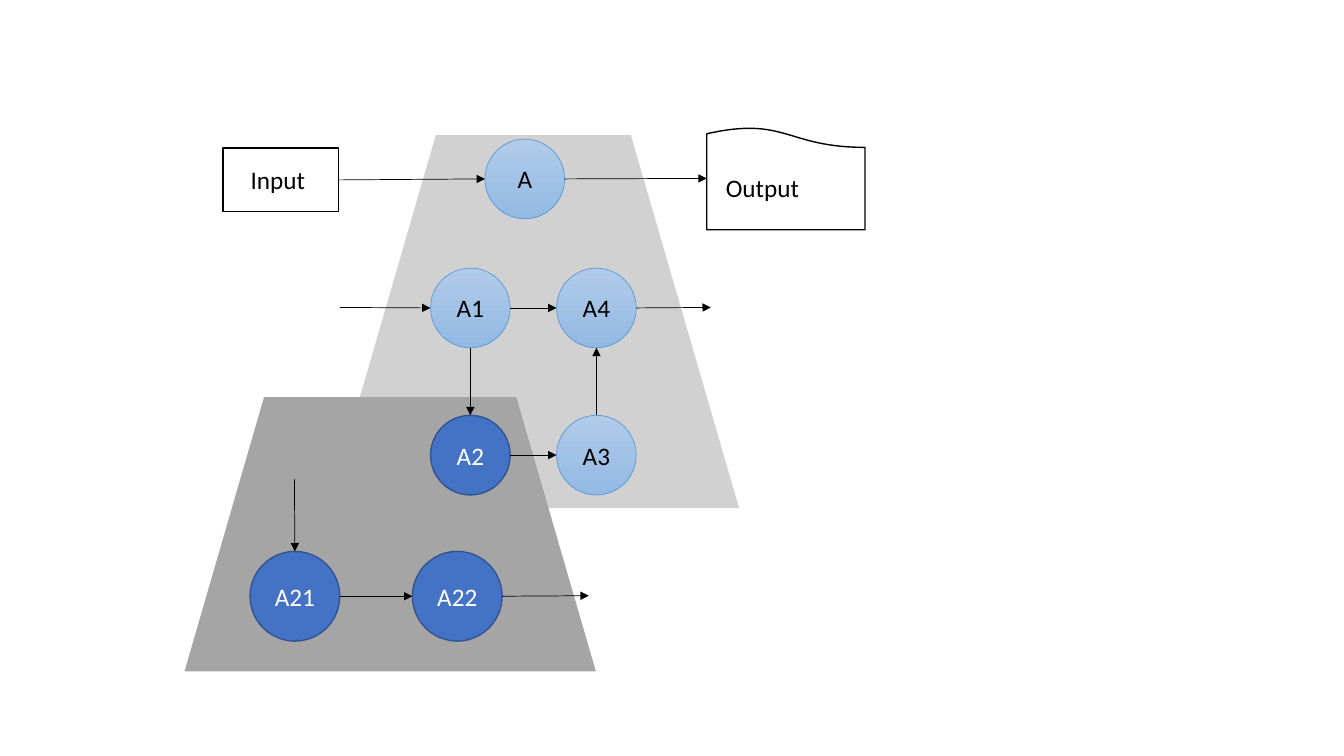
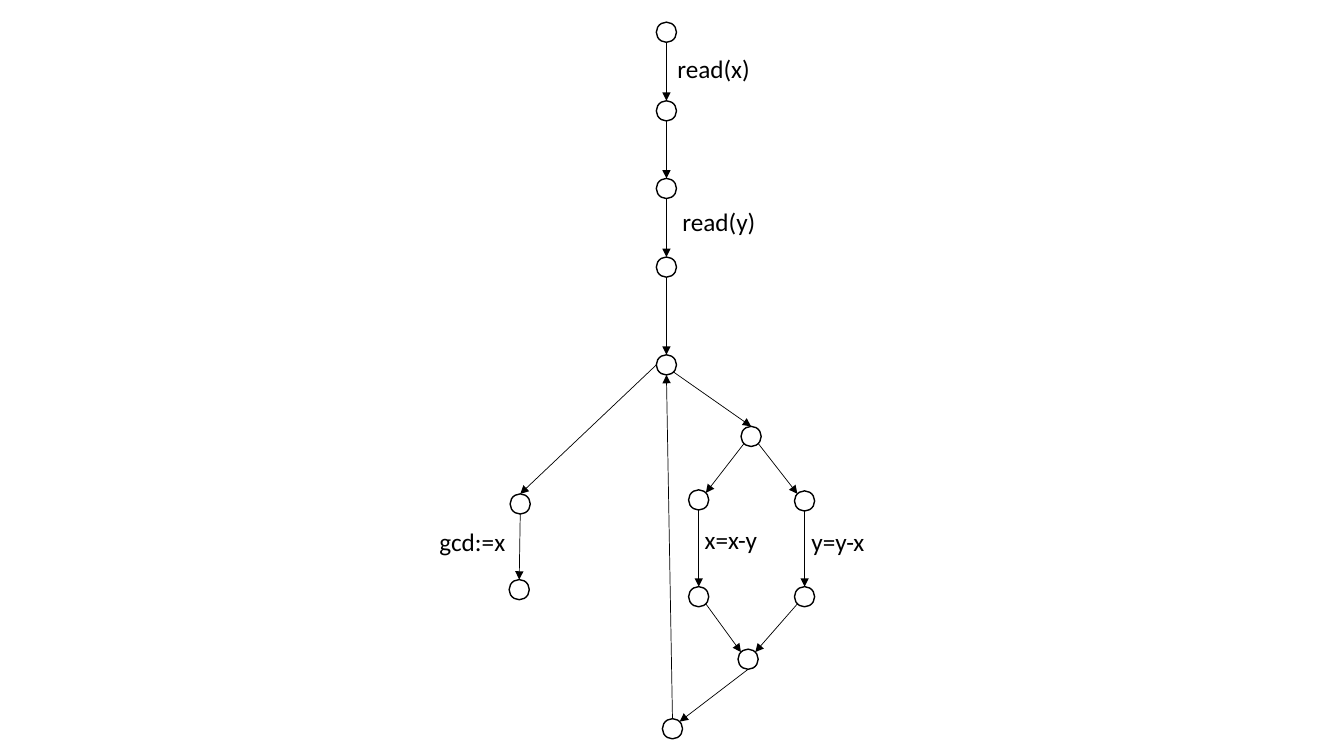
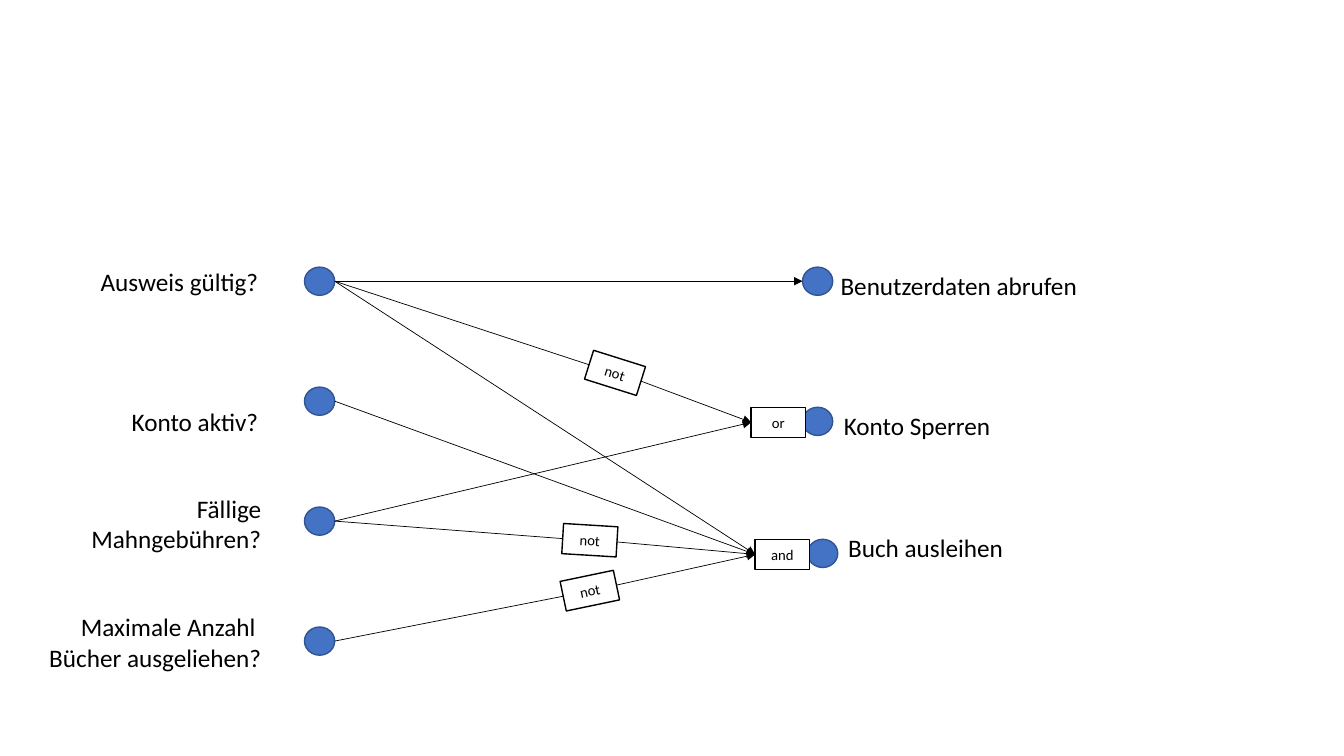
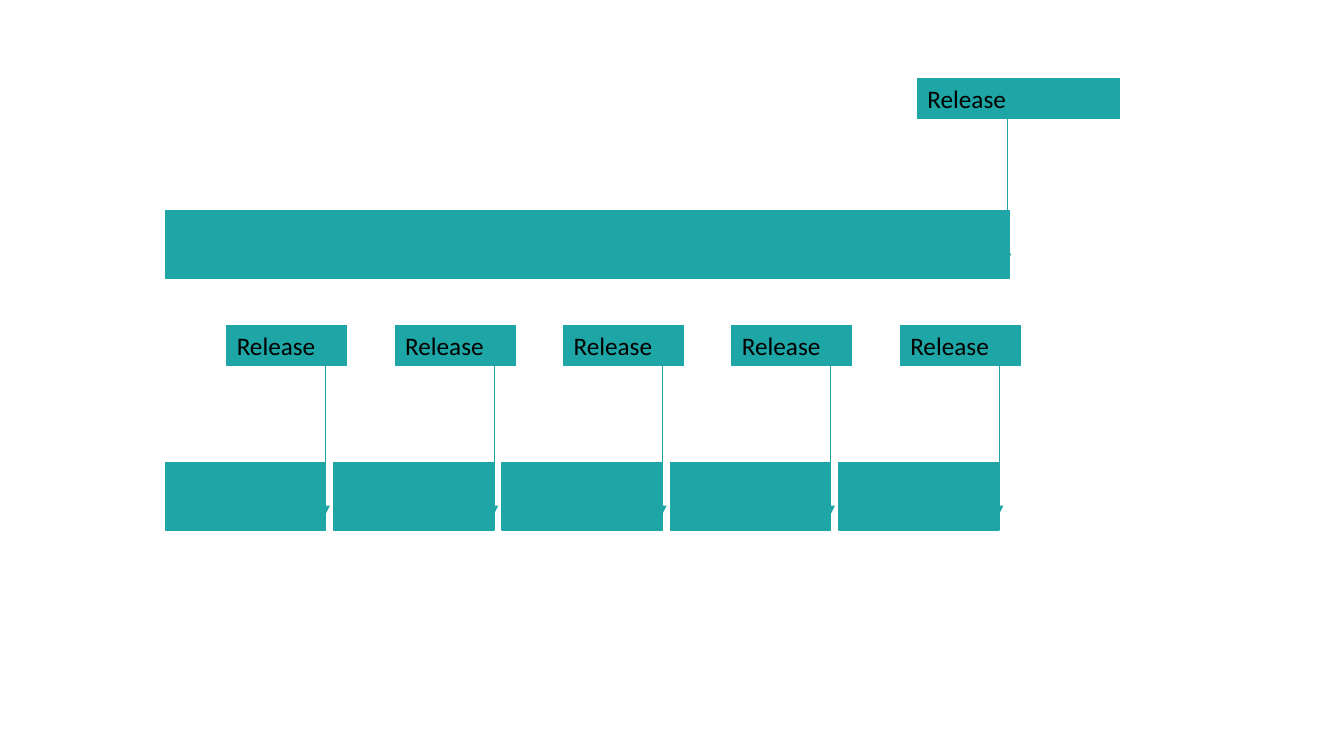
import dataclasses
import math
import typing

import lxml.etree
import pptx
import pptx.dml.color
import pptx.enum.shapes
import pptx.enum.text
import pptx.oxml.ns
import pptx.presentation
import pptx.shapes.autoshape
import pptx.shapes.connector
import pptx.shapes.shapetree
import pptx.util

COLUMN = ROW = pptx.util.Inches(1)
COLUMNS, ROWS = 13.33, 7.5
FONT = "Calibri"
BODY, SMALL = 18, 10.5
COLORS = {
    "black": "000000",
    "white": "FFFFFF",
    "gray": "A5A5A5",
    "blue": "4472C4",
    "navy": "325491",
    "sky": "5B9BD5",
    "sky_top": "B1CBE9",
    "sky_bottom": "93B9E4",
    "teal": "1EA5A5",
}
COMPASS = {
    "n": (0, -1), "ne": (0.71, -0.71), "e": (1, 0), "se": (0.71, 0.71),
    "s": (0, 1), "sw": (-0.71, 0.71), "w": (-1, 0), "nw": (-0.71, -0.71),
}
LEFT_SIDE, RIGHT_SIDE = 1, 3

PRESET = pptx.enum.shapes.MSO_SHAPE
ALIGN = pptx.enum.text.PP_ALIGN
ANCHOR = pptx.enum.text.MSO_ANCHOR
Point = tuple[float, float]
Shape = pptx.shapes.autoshape.Shape
Shapes = typing.Union[
    pptx.shapes.shapetree.SlideShapes, pptx.shapes.shapetree.GroupShapes
]


@dataclasses.dataclass(frozen=True)
class Style:
    preset: PRESET
    fill: str
    fill_end: str = ""
    line: str = ""
    line_width: float = 1
    ink: str = "black"
    size: float = BODY
    align: ALIGN = ALIGN.CENTER
    anchor: ANCHOR = ANCHOR.MIDDLE


LAYER = Style(PRESET.TRAPEZOID, "gray")
PALE_NODE = Style(PRESET.OVAL, "sky_top", "sky_bottom", "sky", 0.5)
DARK_NODE = Style(PRESET.OVAL, "blue", line="navy", ink="white")
STATE = Style(PRESET.OVAL, "white", line="black")
BOX = Style(PRESET.RECTANGLE, "white", line="black")
GATE = dataclasses.replace(BOX, size=SMALL)
DOCUMENT = Style(PRESET.FLOWCHART_DOCUMENT, "white", line="black")
BAR = Style(PRESET.RECTANGLE, "teal", line="teal")
FLAG = dataclasses.replace(BAR, line_width=0.75, align=ALIGN.LEFT, anchor=ANCHOR.TOP)


@dataclasses.dataclass(frozen=True)
class Part:
    column: float
    row: float
    width: float
    height: float
    style: Style
    text: str = ""
    rotation: float = 0

    def at(self, side: str) -> Point:
        across, down = COMPASS[side]
        return (
            self.column + self.width * (1 + across) / 2,
            self.row + self.height * (1 + down) / 2,
        )


@dataclasses.dataclass(frozen=True)
class Label:
    text: str
    column: float
    row: float
    width: float
    height: float = 0.4
    align: ALIGN = ALIGN.LEFT
    wrap: bool = True


@dataclasses.dataclass(frozen=True)
class Edge:
    begin: str
    leaving: str
    end: str
    entering: str


@dataclasses.dataclass(frozen=True)
class Release:
    bar: Part
    flag: Part
    pole: float


def rgb(name: str) -> pptx.dml.color.RGBColor:
    return pptx.dml.color.RGBColor.from_string(COLORS[name])


def write(
    shape: Shape,
    text: str,
    *,
    size: float = BODY,
    ink: str = "black",
    align: ALIGN = ALIGN.LEFT,
    anchor: ANCHOR = ANCHOR.TOP,
    wrap: bool = True,
) -> None:
    frame = shape.text_frame
    frame.word_wrap = wrap
    frame.vertical_anchor = anchor
    frame.text = text
    for paragraph in frame.paragraphs:
        paragraph.alignment = align
        for run in paragraph.runs:
            run.font.name = FONT
            run.font.size = pptx.util.Pt(size)
            run.font.color.rgb = rgb(ink)


def draw(shapes: Shapes, part: Part) -> Shape:
    style = part.style
    shape = shapes.add_shape(
        style.preset,
        int(part.column * COLUMN),
        int(part.row * ROW),
        int(part.width * COLUMN),
        int(part.height * ROW),
    )
    shape.shadow.inherit = False
    shape.rotation = part.rotation
    if style.fill_end:
        shape.fill.gradient()
        shape.fill.gradient_angle = 270
        for stop, name in zip(shape.fill.gradient_stops, (style.fill, style.fill_end)):
            stop.color.rgb = rgb(name)
    else:
        shape.fill.solid()
        shape.fill.fore_color.rgb = rgb(style.fill)
    if style.line:
        shape.line.color.rgb = rgb(style.line)
        shape.line.width = pptx.util.Pt(style.line_width)
    else:
        shape.line.fill.background()
    if part.text:
        write(shape, part.text, size=style.size, ink=style.ink,
              align=style.align, anchor=style.anchor)
    return shape


def draw_label(shapes: Shapes, label: Label) -> None:
    box = shapes.add_textbox(
        int(label.column * COLUMN),
        int(label.row * ROW),
        int(label.width * COLUMN),
        int(label.height * ROW),
    )
    write(box, label.text, align=label.align, wrap=label.wrap)
    box.text_frame.auto_size = pptx.enum.text.MSO_AUTO_SIZE.SHAPE_TO_FIT_TEXT


def link(
    shapes: Shapes, begin: Point, end: Point, color: str = "black", arrow: bool = True
) -> pptx.shapes.connector.Connector:
    connector = shapes.add_connector(
        pptx.enum.shapes.MSO_CONNECTOR.STRAIGHT,
        int(begin[0] * COLUMN),
        int(begin[1] * ROW),
        int(end[0] * COLUMN),
        int(end[1] * ROW),
    )
    connector.line.color.rgb = rgb(color)
    connector.line.width = pptx.util.Pt(0.5)
    properties = connector._element.spPr
    if arrow:
        outline = properties.find(pptx.oxml.ns.qn("a:ln"))
        lxml.etree.SubElement(outline, pptx.oxml.ns.qn("a:tailEnd"), type="triangle")
    lxml.etree.SubElement(properties, pptx.oxml.ns.qn("a:effectLst"))
    return connector


def link_all(shapes: Shapes, parts: dict[str, Part], edges: list[Edge]) -> None:
    for edge in edges:
        link(shapes, parts[edge.begin].at(edge.leaving), parts[edge.end].at(edge.entering))


def add_shapes(deck: pptx.presentation.Presentation) -> Shapes:
    return deck.slides.add_slide(deck.slide_layouts[6]).shapes


def build_refinement(shapes: Shapes) -> None:
    for layer, alpha in (
        (Part(3.25, 1.34, 4.08, 3.7, LAYER), 50),
        (Part(1.83, 3.94, 4.08, 2.72, LAYER), 100),
    ):
        trapezoid = draw(shapes, layer)
        trapezoid.adjustments[0] = 0.29
        tone = trapezoid._element.spPr.xpath("a:solidFill/a:srgbClr")[0]
        lxml.etree.SubElement(tone, pptx.oxml.ns.qn("a:alpha"), val=str(alpha * 1000))

    small, large = 0.79, 0.89
    first, second = 4.27, 5.52
    upper, lower = 2.66, 4.12
    steps = {
        step.text: step
        for step in (
            Part(4.81, 1.38, small, small, PALE_NODE, "A"),
            Part(first, upper, small, small, PALE_NODE, "A1"),
            Part(first, lower, small, small, DARK_NODE, "A2"),
            Part(second, lower, small, small, PALE_NODE, "A3"),
            Part(second, upper, small, small, PALE_NODE, "A4"),
            Part(2.48, 5.47, large, large, DARK_NODE, "A21"),
            Part(4.09, 5.47, large, large, DARK_NODE, "A22"),
        )
    }
    for step in steps.values():
        draw(shapes, step)

    source = Part(2.21, 1.47, 1.15, 0.63, BOX, "Input ")
    result = Part(7.01, 1.26, 1.57, 1.02, DOCUMENT)
    source_box = draw(shapes, source)
    output = shapes.add_group_shape().shapes
    result_sheet = draw(output, result)
    result_sheet._element.spPr.xfrm.set("flipV", "1")
    draw_label(output, Label("Output", 7.1, 1.66, 1.48))

    link(shapes, source.at("e"), steps["A"].at("w")).begin_connect(source_box, RIGHT_SIDE)
    link(shapes, steps["A"].at("e"), result.at("w")).end_connect(result_sheet, LEFT_SIDE)
    link_all(shapes, steps, [
        Edge("A1", "e", "A4", "w"),
        Edge("A1", "s", "A2", "n"),
        Edge("A2", "e", "A3", "w"),
        Edge("A3", "n", "A4", "s"),
        Edge("A21", "e", "A22", "w"),
    ])
    link(shapes, (3.37, 3.05), steps["A1"].at("w"))
    link(shapes, steps["A4"].at("e"), (7.05, 3.05))
    link(shapes, (2.92, 4.75), steps["A21"].at("n"))
    link(shapes, steps["A22"].at("e"), (5.84, 5.91))


def build_control_flow(shapes: Shapes) -> None:
    trunk, x_side, y_side = 6.51, 6.83, 7.88
    places = {
        "start": (trunk, 0.22),
        "x read": (trunk, 1),
        "next": (trunk, 1.77),
        "y read": (trunk, 2.55),
        "loop": (trunk, 3.52),
        "branch": (7.35, 4.23),
        "x larger": (x_side, 4.86),
        "x reduced": (x_side, 5.82),
        "y larger": (y_side, 4.87),
        "y reduced": (y_side, 5.82),
        "join": (7.32, 6.44),
        "repeat": (6.57, 7.13),
        "equal": (5.06, 4.9),
        "done": (5.05, 5.75),
    }
    states = {
        name: Part(column, row, 0.2, 0.2, STATE)
        for name, (column, row) in places.items()
    }
    for state in states.values():
        draw(shapes, state)

    descents = [
        ("start", "x read"), ("x read", "next"), ("next", "y read"), ("y read", "loop"),
        ("x larger", "x reduced"), ("y larger", "y reduced"), ("equal", "done"),
    ]
    link_all(shapes, states, [Edge(upper, "s", lower, "n") for upper, lower in descents])
    link_all(shapes, states, [
        Edge("loop", "se", "branch", "n"),
        Edge("branch", "sw", "x larger", "ne"),
        Edge("branch", "se", "y larger", "nw"),
        Edge("x reduced", "se", "join", "nw"),
        Edge("y reduced", "sw", "join", "ne"),
        Edge("join", "s", "repeat", "ne"),
        Edge("repeat", "n", "loop", "s"),
        Edge("loop", "w", "equal", "n"),
    ])
    for text, column, row, width in (
        ("read(x)", 6.62, 0.48, 0.93),
        ("read(y)", 6.67, 2, 0.93),
        ("gcd:=x", 4.26, 5.17, 0.86),
        ("x=x-y", 6.89, 5.15, 0.74),
        ("y=y-x", 7.95, 5.17, 0.74),
    ):
        draw_label(shapes, Label(text, column, row, width, wrap=False))


def build_cause_effect(shapes: Shapes) -> None:
    width, height = 0.3, 0.28
    names = ("card", "account", "fees", "limit")
    causes = {
        name: Part(3.02, 2.65 + 1.19 * index, width, height, DARK_NODE)
        for index, name in enumerate(names)
    }
    fetch, lock, lend = (
        Part(column, row, width, height, DARK_NODE)
        for column, row in ((7.96, 2.65), (7.96, 4.04), (8.01, 5.35))
    )
    for dot in (*causes.values(), fetch, lock, lend):
        draw(shapes, dot)

    gates = {
        "or": Part(7.45, 4.04, 0.54, 0.3, GATE, "or"),
        "and": Part(7.49, 5.35, 0.54, 0.3, GATE, "and"),
    }
    gate_boxes = {name: draw(shapes, gate) for name, gate in gates.items()}

    def enter(begin: Point, gate: str) -> None:
        link(shapes, begin, gates[gate].at("w")).end_connect(gate_boxes[gate], LEFT_SIDE)

    link(shapes, causes["card"].at("e"), fetch.at("w"))
    for cause, gate in (("card", "and"), ("account", "and"), ("fees", "or")):
        enter(causes[cause].at("e"), gate)

    for cause, gate, column, row, rotation in (
        ("card", "or", 5.83, 3.55, 17.5),
        ("fees", "and", 5.58, 5.21, 3.5),
        ("limit", "and", 5.58, 5.71, 348.2),
    ):
        negation = Part(column, row, 0.54, 0.3, GATE, "not", rotation)
        draw(shapes, negation)
        middle_column, middle_row = column + negation.width / 2, row + negation.height / 2
        across = negation.width / 2 * math.cos(math.radians(rotation))
        down = negation.width / 2 * math.sin(math.radians(rotation))
        link(shapes, causes[cause].at("e"),
             (middle_column - across, middle_row - down), arrow=False)
        enter((middle_column + across, middle_row + down), gate)

    for label in (
        Label("Ausweis gültig?", 0.75, 2.59, 1.91, align=ALIGN.RIGHT),
        Label("Konto aktiv?", 1.08, 3.98, 1.58, align=ALIGN.RIGHT),
        Label("Fällige Mahngebühren?", 0.78, 4.84, 1.91, 0.71, ALIGN.RIGHT),
        Label("Maximale Anzahl \nBücher ausgeliehen?", 0.19, 6.02, 2.5, 0.71, ALIGN.RIGHT),
        Label("Benutzerdaten abrufen", 8.13, 2.63, 2.76, align=ALIGN.CENTER),
        Label("Konto Sperren", 8.2, 4.02, 1.79, align=ALIGN.CENTER),
        Label("Buch ausleihen", 8.24, 5.23, 1.88, align=ALIGN.CENTER),
    ):
        draw_label(shapes, label)


def build_releases(shapes: Shapes) -> None:
    left, step, bar_height, flag_height = 1.64, 1.67, 0.67, 0.4
    sprint_width = 1.59
    releases = [
        Release(
            Part(left, 2.09, 8.37, bar_height, BAR),
            Part(9.1, 0.78, 2, flag_height, FLAG, "Release"),
            9.99,
        )
    ]
    for index in range(5):
        column = left + step * index
        releases.append(Release(
            Part(column, 4.59, sprint_width, bar_height, BAR),
            Part(column + 0.61, 3.23, 1.19, flag_height, FLAG, "Release"),
            column + sprint_width,
        ))
    for release in releases:
        group = shapes.add_group_shape().shapes
        draw(group, release.bar)
        link(group, (release.pole, release.flag.row + 0.05),
             (release.pole, release.bar.row + 0.51), "teal")
        draw(group, release.flag)


def main() -> None:
    deck = pptx.Presentation()
    deck.slide_width = int(COLUMNS * COLUMN)
    deck.slide_height = int(ROWS * ROW)
    for build in (build_refinement, build_control_flow, build_cause_effect, build_releases):
        build(add_shapes(deck))
    deck.save("out.pptx")


if __name__ == "__main__":
    main()
